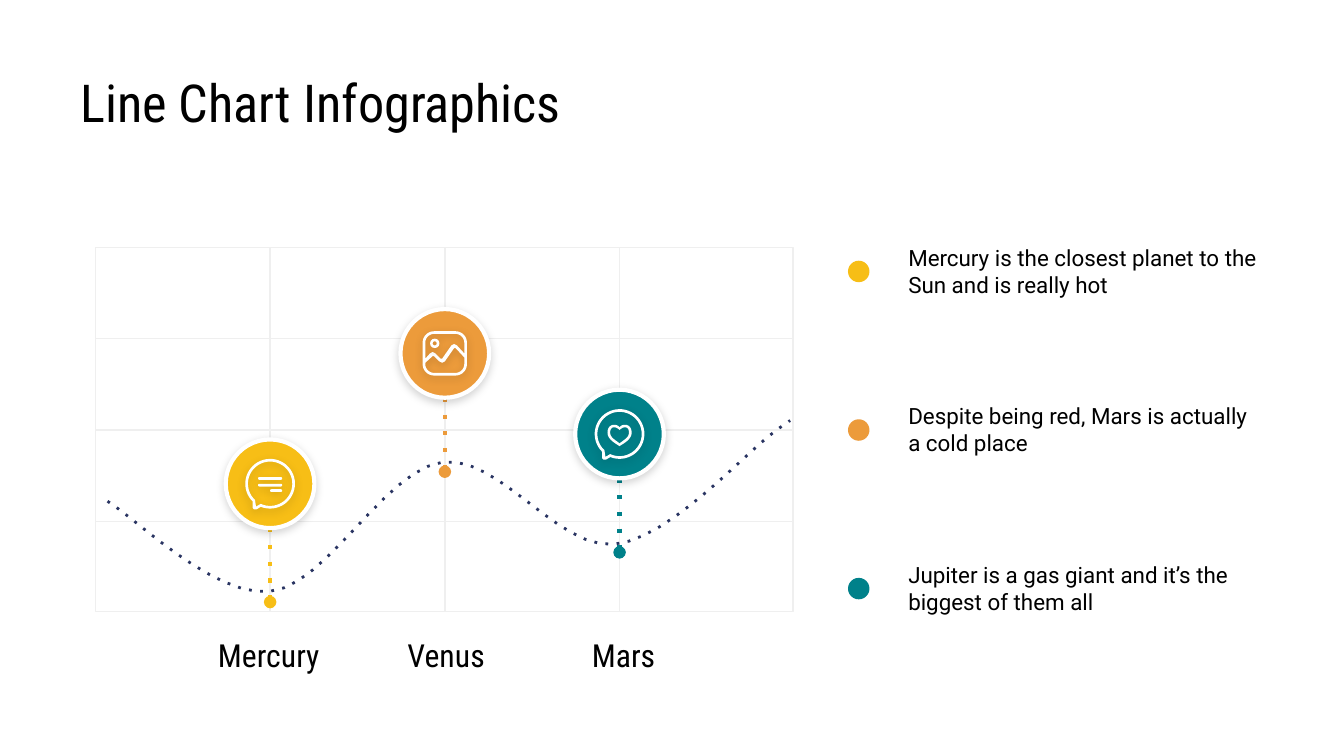
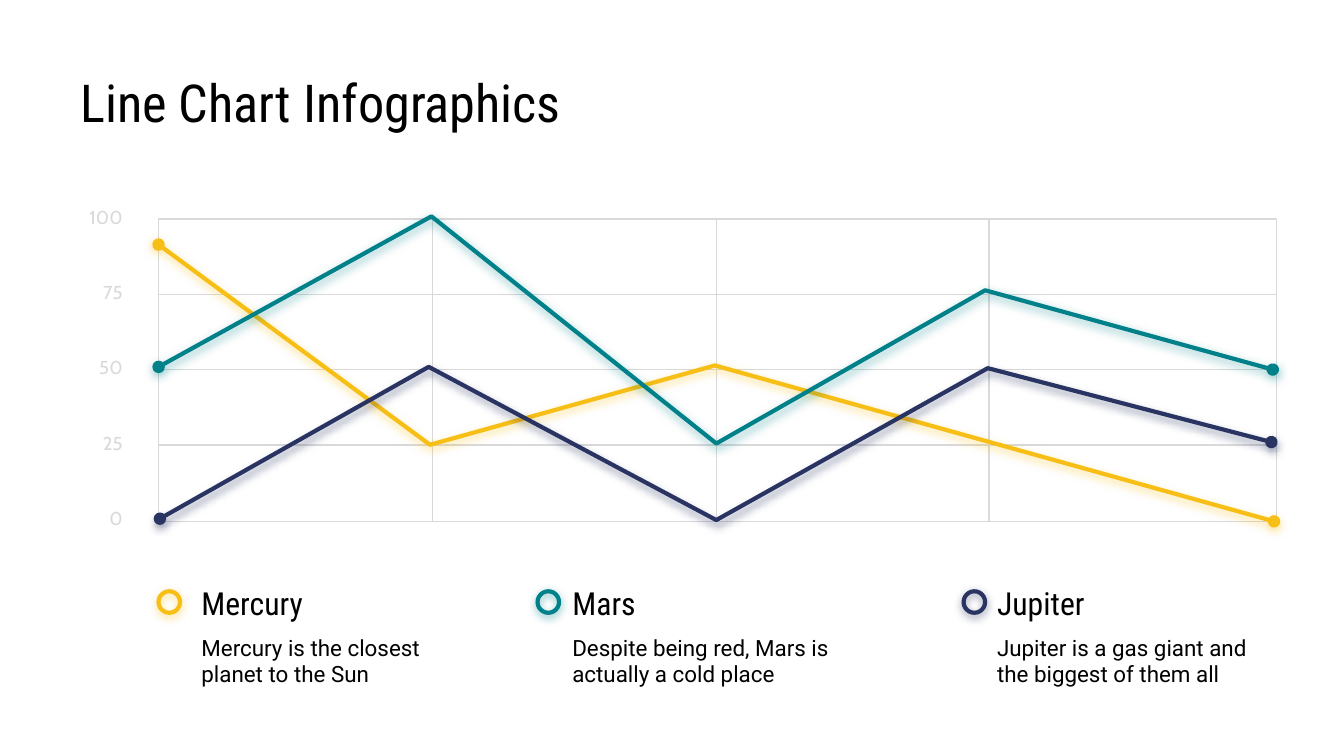
import math
import pptx
import pptx.dml.color
import pptx.enum.shapes
import pptx.enum.text
import pptx.oxml.ns
import pptx.util
from lxml import etree

PX = 9144  # EMU in one px, 100 px to the inch
YELLOW, ORANGE, TEAL, NAVY = "F7BE16", "EC9B3B", "00818A", "293462"
WHITE, BLACK, PALE, GREY = "FFFFFF", "000000", "EFEFEF", "D9D9D9"
HEADING, BODY, FIGURES = "Roboto Condensed", "Roboto", "Cabin"
SOFT = (BLACK, 17)  # shadow colour and opacity in percent

Preset = pptx.enum.shapes.MSO_SHAPE
Align = pptx.enum.text.PP_ALIGN
Anchor = pptx.enum.text.MSO_ANCHOR


def rgb(code):
    return pptx.dml.color.RGBColor.from_string(code)


def add_tag(parent, tag, **attributes):
    return etree.SubElement(parent, pptx.oxml.ns.qn(tag), attributes)


# Outlines
def arc(cx, cy, radius, start, end, steps=8):
    angles = [math.radians(start + (end - start) * i / steps) for i in range(steps + 1)]
    return [(cx + radius * math.cos(a), cy + radius * math.sin(a)) for a in angles]


def curve(start, segments, steps=12):
    """Points along joined cubic curves; a segment is two controls and an end."""
    points = [start]
    for control_1, control_2, end in segments:
        corners = (points[-1], control_1, control_2, end)
        for i in range(1, steps + 1):
            t = i / steps
            weights = ((1 - t) ** 3, 3 * t * (1 - t) ** 2, 3 * t * t * (1 - t), t ** 3)
            points.append(tuple(sum(w * c[axis] for w, c in zip(weights, corners))
                                for axis in (0, 1)))
    return points


def heart_outline(start, segments):
    left = curve(start, segments)
    return left + [(-x, y) for x, y in reversed(left[1:-1])]


class Deck:
    def __init__(self):
        self.prs = pptx.Presentation()
        self.prs.slide_width = 1000 * PX
        self.prs.slide_height = self.prs.slide_width * 9 // 16
        self.slide = None

    def new_slide(self, title):
        self.slide = self.prs.slides.add_slide(self.prs.slide_layouts[6])
        self.text(title, 50, 42, 900, 63, 28, HEADING, anchor=Anchor.TOP)

    def text(self, words, left, top, width, height, size, font,
             color=BLACK, align=Align.LEFT, anchor=Anchor.MIDDLE):
        frame = self.slide.shapes.add_textbox(
            left * PX, top * PX, width * PX, height * PX).text_frame
        frame.word_wrap = True
        frame.vertical_anchor = anchor
        frame.margin_left = frame.margin_right = 10 * PX
        frame.margin_top = frame.margin_bottom = 10 * PX
        frame.text = words
        paragraph = frame.paragraphs[0]
        paragraph.alignment = align
        for run in paragraph.runs:
            run.font.size = pptx.util.Pt(size)
            run.font.name = font
            run.font.color.rgb = rgb(color)

    def stroke(self, line, color, width, dotted=False, ends=()):
        line.color.rgb = rgb(color)
        line.width = pptx.util.Pt(width)
        outline = line.color._xFill.getparent()
        if dotted:
            add_tag(outline, "a:prstDash", val="dot")
        for end in ends:
            add_tag(outline, f"a:{end}End", type="oval")

    def finish(self, shape, fill, line, width, shadow, dotted=False, ends=()):
        if fill:
            shape.fill.solid()
            shape.fill.fore_color.rgb = rgb(fill)
        else:
            shape.fill.background()
        if line:
            self.stroke(shape.line, line, width, dotted, ends)
        else:
            shape.line.fill.background()
        shape.shadow.inherit = False
        if shadow:
            color, opacity = shadow
            effects = shape._element.spPr.find(pptx.oxml.ns.qn("a:effectLst"))
            cast = add_tag(effects, "a:outerShdw", blurRad=str(pptx.util.Pt(4.5)),
                           dist=str(pptx.util.Pt(1.5)), dir="5400000",
                           algn="bl", rotWithShape="0")
            tint = add_tag(cast, "a:srgbClr", val=color)
            add_tag(tint, "a:alpha", val=str(opacity * 1000))

    def shape(self, preset, left, top, width, height, fill=None, line=None,
              line_width=0.75, shadow=None, adjust=None):
        shape = self.slide.shapes.add_shape(
            preset, left * PX, top * PX, width * PX, height * PX)
        if adjust is not None:
            shape.adjustments[0] = adjust
        self.finish(shape, fill, line, line_width, shadow)

    def outline(self, contours, cx=0, cy=0, fill=None, line=None, line_width=0.75,
                shadow=None, dotted=False, ends=()):
        contours = [[(round((cx + x) * PX), round((cy + y) * PX)) for x, y in points]
                    for points in contours]
        builder = self.slide.shapes.build_freeform(*contours[0][0])
        for index, points in enumerate(contours):
            if index:
                builder.move_to(*points[0])
            builder.add_line_segments(points[1:], close=bool(fill))
        self.finish(builder.convert_to_shape(), fill, line, line_width,
                    shadow, dotted, ends)

    def line(self, x1, y1, x2, y2, color, width=0.75, dotted=False, ends=()):
        connector = self.slide.shapes.add_connector(
            pptx.enum.shapes.MSO_CONNECTOR.STRAIGHT, x1 * PX, y1 * PX, x2 * PX, y2 * PX)
        self.stroke(connector.line, color, width, dotted, ends)
        add_tag(connector._element.spPr, "a:effectLst")

    def grid(self, left, top, width, height, columns, rows, color):
        self.shape(Preset.RECTANGLE, left, top, width, height, line=color)
        for y in rows:
            self.line(left, y, left + width, y, color)
        for x in columns:
            self.line(x, top, x, top + height, color)

    # Icons, each around its centre
    def bubble(self, cx, cy):
        outer = arc(0, 0, 18.5, 135, 472, 48) + [(-10, 19), (-12, 19), (-13, 18)]
        inner = arc(0, 0, 16.5, 133, 475, 48) + [(-10.5, 17)]
        self.outline([outer, inner], cx, cy, fill=WHITE, shadow=SOFT)

    def message_icon(self, cx, cy):
        self.bubble(cx, cy)
        for dx, dy, width in ((-9, -5, 18), (-9, 0, 18), (0, 4, 9)):
            self.shape(Preset.ROUNDED_RECTANGLE, cx + dx, cy + dy, width, 2,
                       fill=WHITE, shadow=SOFT, adjust=0.5)

    def heart_icon(self, cx, cy):
        self.bubble(cx, cy)
        outer = heart_outline((0, -5), [((-2, -8), (-9, -8), (-9, -1)),
                                        ((-9, 4), (-3, 7), (0, 9))])
        inner = heart_outline((0, -3), [((-3, -6), (-7, -6), (-7, -1)),
                                        ((-7, 3), (-2, 5), (0, 7))])
        self.outline([outer, inner], cx, cy, fill=WHITE, shadow=SOFT)

    def landscape_icon(self, cx, cy):
        def corners(radius):
            return [arc(x, y, radius, turn, turn + 90) for x, y, turn in
                    ((-8, -8, 180), (8, -8, 270), (8, 8, 0), (-8, 8, 90))]
        frame = sum(corners(8.5), [])
        top_left, top_right, low_right, low_left = corners(6.5)
        sky = top_left + top_right + [
            (14.5, 0), (9, -6), (7, -7), (5, -6), (-2, 4), (-3, 4),
            (-7, 0), (-9, -1), (-11, 0), (-14.5, 4)]
        ground = low_right + low_left + [
            (-14.5, 7), (-9, 2), (-8, 2), (-4, 6), (-2, 7), (0, 6),
            (7, -4), (8, -4), (14.5, 3)]
        self.outline([frame, sky, ground], cx, cy, fill=WHITE, shadow=SOFT)
        self.shape(Preset.DONUT, cx - 11, cy - 11, 7, 7,
                   fill=WHITE, shadow=SOFT, adjust=0.28)


def planet_curve(deck):
    deck.new_slide("Line Chart Infographics")
    columns = [201 + 130 * i for i in range(3)]
    deck.grid(71, 184, 519, 271, columns, [184 + 68 * i for i in (1, 2, 3)], PALE)
    for i, planet in enumerate(("Mercury", "Venus", "Mars")):
        deck.text(planet, 145 + 132 * i, 474, 110, 27, 17, HEADING, align=Align.CENTER)

    # Trend
    trend = curve((80, 373), [
        ((100, 385), (160, 445), (201, 440)), ((243, 436), (286, 350), (329, 344)),
        ((371, 338), (415, 409), (457, 405)), ((499, 401), (556, 335), (578, 320)),
        ((582, 317), (586, 314), (588, 313))])
    deck.outline([trend], line=NAVY, line_width=1.5, dotted=True)

    # Pins
    pins = ((327, YELLOW, deck.message_icon), (230, ORANGE, deck.landscape_icon),
            (290, TEAL, deck.heart_icon))
    for x, (top, color, draw_icon) in zip(columns, pins):
        deck.line(x, top + 66, x, top + 121, color, 2.25, dotted=True, ends=("tail",))
        deck.shape(Preset.OVAL, x - 33, top, 66, 66, fill=color, line=WHITE,
                   line_width=2.25, shadow=SOFT)
        draw_icon(x, top + 33)

    # Facts
    facts = ((YELLOW, "Mercury is the closest planet to the Sun and is really hot"),
             (ORANGE, "Despite being red, Mars is actually a cold place"),
             (TEAL, "Jupiter is a gas giant and it’s the biggest of them all"))
    for i, (color, fact) in enumerate(facts):
        deck.text(fact, 666, 174 + 118 * i, 284, 55, 12, BODY)
        deck.shape(Preset.OVAL, 631, 194 + 118 * i, 16, 16, fill=color)


def planet_lines(deck):
    deck.new_slide("Line Chart Infographics")
    deck.grid(118, 163, 832, 225, (322, 533, 736), [219 + 56 * i for i in range(3)], GREY)
    for i in range(5):
        deck.text(str(100 - 25 * i), 50, 145 + 56 * i, 51, 33, 10, FIGURES,
                  color=GREY, align=Align.RIGHT)

    # Series
    series = (
        (YELLOW, [(118, 182), (320, 331), (532, 272), (948, 388)]),
        (TEAL, [(118, 273), (321, 161), (533, 330), (733, 216), (947, 275)]),
        (NAVY, [(119, 386), (319, 273), (533, 387), (735, 274), (946, 329)]))
    for color, points in series:
        deck.outline([points], line=color, line_width=2.25, shadow=(color, 50),
                     ends=("head", "tail"))

    # Legend
    legend = (
        (118, 140, YELLOW, "Mercury", "Mercury is the closest planet to the Sun"),
        (400, 416, TEAL, "Mars", "Despite being red, Mars is actually a cold place"),
        (717, 732, NAVY, "Jupiter", "Jupiter is a gas giant and the biggest of them all"))
    for ring_left, left, color, planet, fact in legend:
        deck.shape(Preset.OVAL, ring_left, 440, 16, 16, line=color, line_width=2.25,
                   shadow=(color, 50))
        deck.text(planet, left, 432, 218, 33, 17, HEADING)
        deck.text(fact, left, 464, 218, 55, 12, BODY)


def main():
    deck = Deck()
    planet_curve(deck)
    planet_lines(deck)
    deck.prs.save("out.pptx")


if __name__ == "__main__":
    main()
